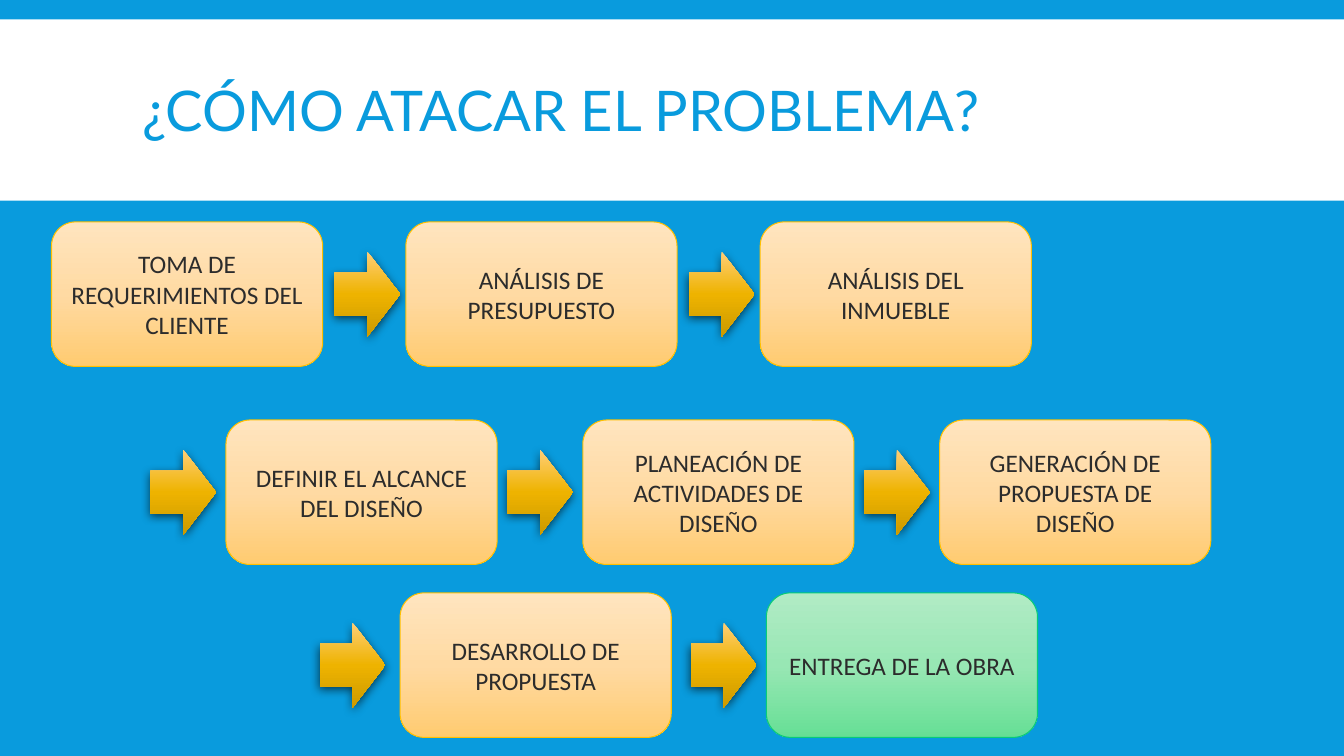
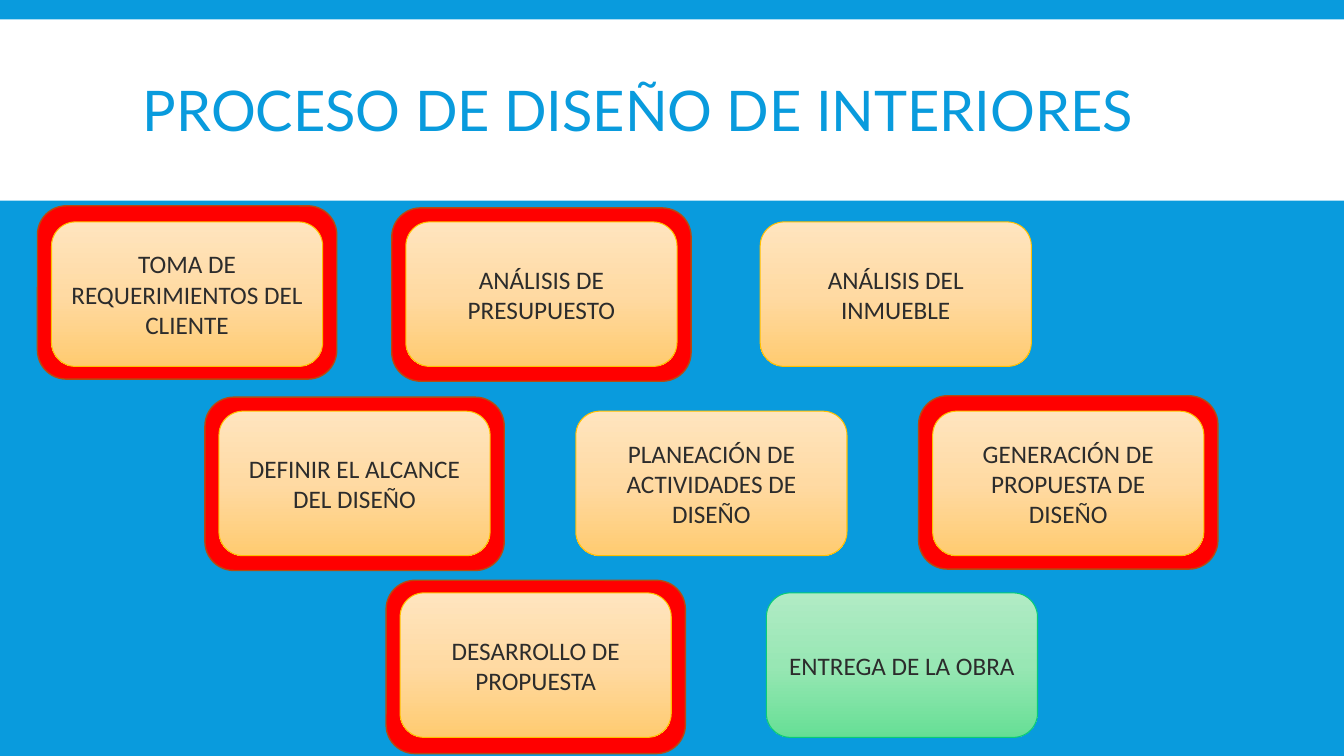
from copy import deepcopy

from lxml.etree import SubElement
from pptx import Presentation
from pptx.dml.color import RGBColor as Rgb
from pptx.enum.shapes import MSO_SHAPE as Geo
from pptx.enum.text import MSO_ANCHOR as Anchor, PP_ALIGN as Align
from pptx.oxml.ns import qn
from pptx.util import Pt

BLUE = Rgb(0x09, 0x9B, 0xDD)
WHITE = Rgb(0xFF, 0xFF, 0xFF)
INK = Rgb(0x2C, 0x2C, 0x2C)
RED = Rgb(0xFF, 0x00, 0x00)
RUST = Rgb(0xB5, 0x4B, 0x11)
GOLD = Rgb(0xFF, 0xC0, 0x00)
GREEN = Rgb(0x08, 0xCC, 0x78)
PEACH = [Rgb(0xFF, 0xE5, 0xBF), Rgb(0xFF, 0xDA, 0xA3), Rgb(0xFF, 0xCB, 0x70)]
MINT = [Rgb(0xB1, 0xEB, 0xC5), Rgb(0x98, 0xE7, 0xB4), Rgb(0x66, 0xDF, 0x95)]
AMBER = [Rgb(0xFF, 0xCE, 0x77), Rgb(0xEE, 0xB3, 0x00), Rgb(0xCC, 0x9A, 0x00)]

WIDE, HIGH = 960, 540
STEP_W, STEP_H = 193.7, 103.2
HALO_W, HALO_H = 213.8, 123.8
ARROW_W, ARROW_H = 47, 60.8

STEPS = [
    ["TOMA DE REQUERIMIENTOS DEL CLIENTE", "ANÁLISIS DE PRESUPUESTO",
     "ANÁLISIS DEL INMUEBLE"],
    ["DEFINIR EL ALCANCE DEL DISEÑO", "PLANEACIÓN DE ACTIVIDADES DE DISEÑO",
     "GENERACIÓN DE PROPUESTA DE DISEÑO"],
    ["DESARROLLO DE PROPUESTA", "ENTREGA DE LA OBRA"],
]
LAST = STEPS[-1][-1]
TOP_ROW = (36.8, 158.5, 253.1)
LOW_ROW = (285.8, 423.5, 261.6)
FLOW = [TOP_ROW, (161.4, 300, 254.9), LOW_ROW]
REVIEW = [TOP_ROW, (156.4, 293.7, 254.9), LOW_ROW]
ARROWS = {(0, 1): 51, (0, 2): 51, (1, 0): 54, (1, 1): 54, (1, 2): 54,
          (2, 0): 57.5, (2, 1): 54}
HALOS = {(0, 0): 11.5, (0, 1): 10, (1, 0): 10, (1, 2): 11, (2, 0): 9}


def add_box(slide, kind, x, y, w, h):
    """Add a preset shape with no shadow and no line."""
    box = slide.shapes.add_shape(kind, Pt(x), Pt(y), Pt(w), Pt(h))
    box.shadow.inherit = False
    box.line.fill.background()
    return box


def paint(box, hue):
    """Fill a shape with one colour."""
    box.fill.solid()
    box.fill.fore_color.rgb = hue


def shade(box, hues):
    """Fill a shape with a three-stop gradient running downwards."""
    box.fill.gradient()
    box.fill.gradient_angle = 270
    stops = box._element.spPr.find(qn("a:gradFill")).find(qn("a:gsLst"))
    stops.insert(1, deepcopy(stops[0]))
    for stop, hue, place in zip(box.fill.gradient_stops, hues, (0, 0.5, 1)):
        stop.color.rgb = hue
        stop.position = place


def edge(box, hue, width):
    """Outline a shape."""
    box.line.color.rgb = hue
    box.line.width = Pt(width)


def write(box, text, font, size, hue):
    """Write one run, centred in height, and return its paragraph."""
    frame = box.text_frame
    frame.word_wrap = True
    frame.vertical_anchor = Anchor.MIDDLE
    para = frame.paragraphs[0]
    run = para.add_run()
    run.text = text
    run.font.name = font
    run.font.size = Pt(size)
    run.font.color.rgb = hue
    return para


def add_step(slide, x, y, text):
    """Draw one step of the process."""
    box = add_box(slide, Geo.ROUNDED_RECTANGLE, x, y, STEP_W, STEP_H)
    shade(box, MINT if text == LAST else PEACH)
    edge(box, GREEN if text == LAST else GOLD, 0.75)
    write(box, text, "Calibri", 18, INK).alignment = Align.CENTER


def add_arrow(slide, x, y, gap):
    """Draw the arrow that leads to the step at x, y."""
    top = y + (STEP_H - ARROW_H) / 2
    arrow = add_box(slide, Geo.RIGHT_ARROW, x - gap, top, ARROW_W, ARROW_H)
    shade(arrow, AMBER)
    glow = arrow._element.spPr.find(qn("a:effectLst"))
    cast = SubElement(glow, qn("a:outerShdw"), blurRad=str(Pt(7)),
                      dist=str(Pt(2.2)), dir="5400000", algn="ctr",
                      rotWithShape="0")
    tint = SubElement(cast, qn("a:srgbClr"), val="000000")
    SubElement(tint, qn("a:alpha"), val="63000")


def add_halo(slide, x, y, rise):
    """Draw the red frame behind the step at x, y."""
    halo = add_box(slide, Geo.ROUNDED_RECTANGLE, x - 10, y - rise,
                   HALO_W, HALO_H)
    paint(halo, RED)
    edge(halo, RUST, 1)


def add_steps(slide, rows, marks, draw):
    """Draw all rows of steps, with a mark before each step that has one."""
    for i, (texts, (left, top, pitch)) in enumerate(zip(STEPS, rows)):
        for j, text in enumerate(texts):
            x = left + j * pitch
            if (i, j) in marks:
                draw(slide, x, top, marks[i, j])
            add_step(slide, x, top, text)


def add_page(deck, title):
    """Add a blue slide with its white title band."""
    slide = deck.slides.add_slide(deck.slide_layouts[6])
    back = slide.background.fill
    back.solid()
    back.fore_color.rgb = BLUE
    paint(add_box(slide, Geo.RECTANGLE, 0, 13.8, WIDE, 129.6), WHITE)
    head = slide.shapes.add_textbox(Pt(95), Pt(22.3), Pt(770), Pt(118.8))
    write(head, title, "Lato", 40, BLUE).line_spacing = 0.85
    return slide


def main():
    """Build and save the deck."""
    deck = Presentation()
    deck.slide_width, deck.slide_height = Pt(WIDE), Pt(HIGH)
    flow = add_page(deck, "¿CÓMO ATACAR EL PROBLEMA?")
    add_steps(flow, FLOW, ARROWS, add_arrow)
    review = add_page(deck, "PROCESO DE DISEÑO DE INTERIORES")
    add_steps(review, REVIEW, HALOS, add_halo)
    deck.save("out.pptx")


if __name__ == "__main__":
    main()
